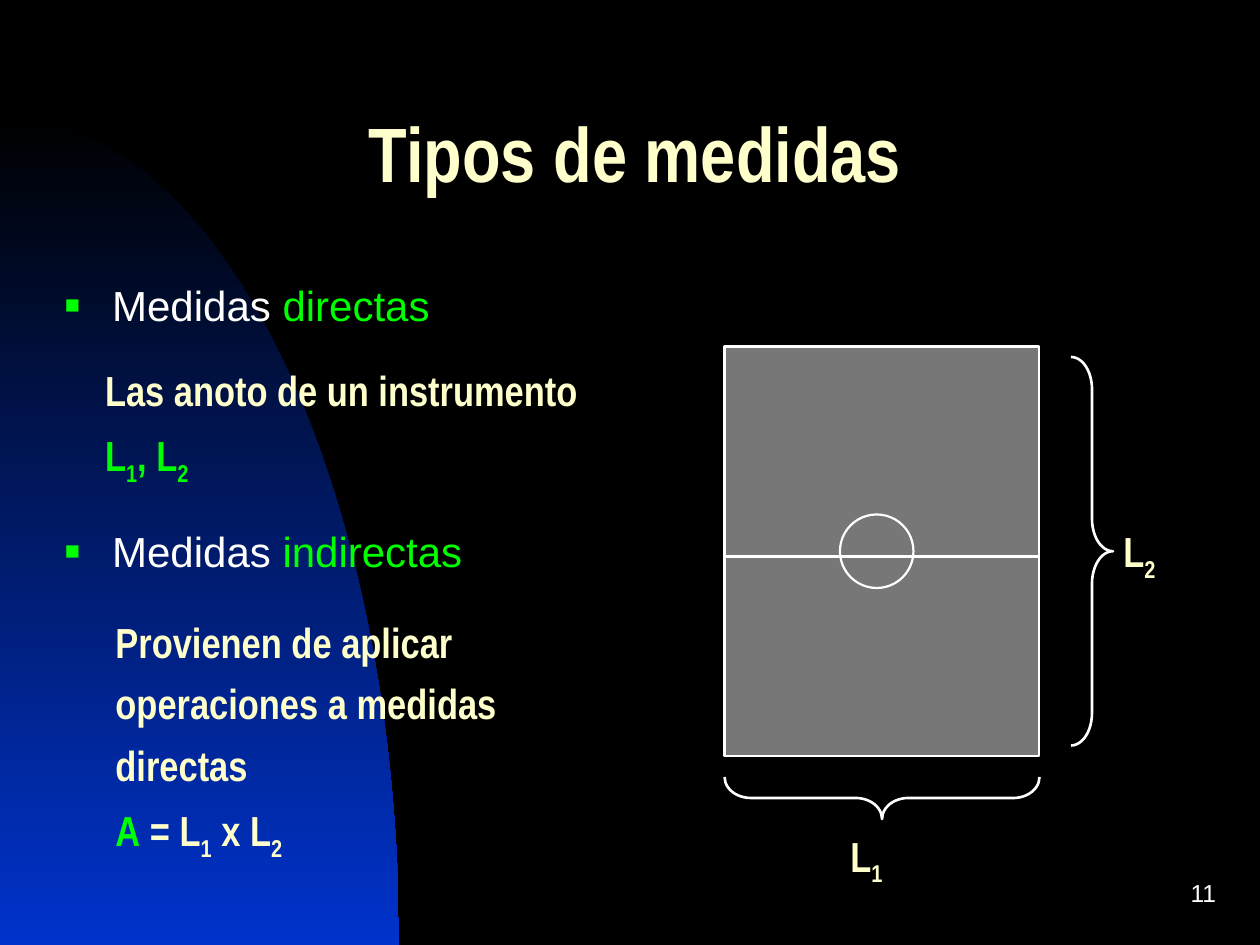
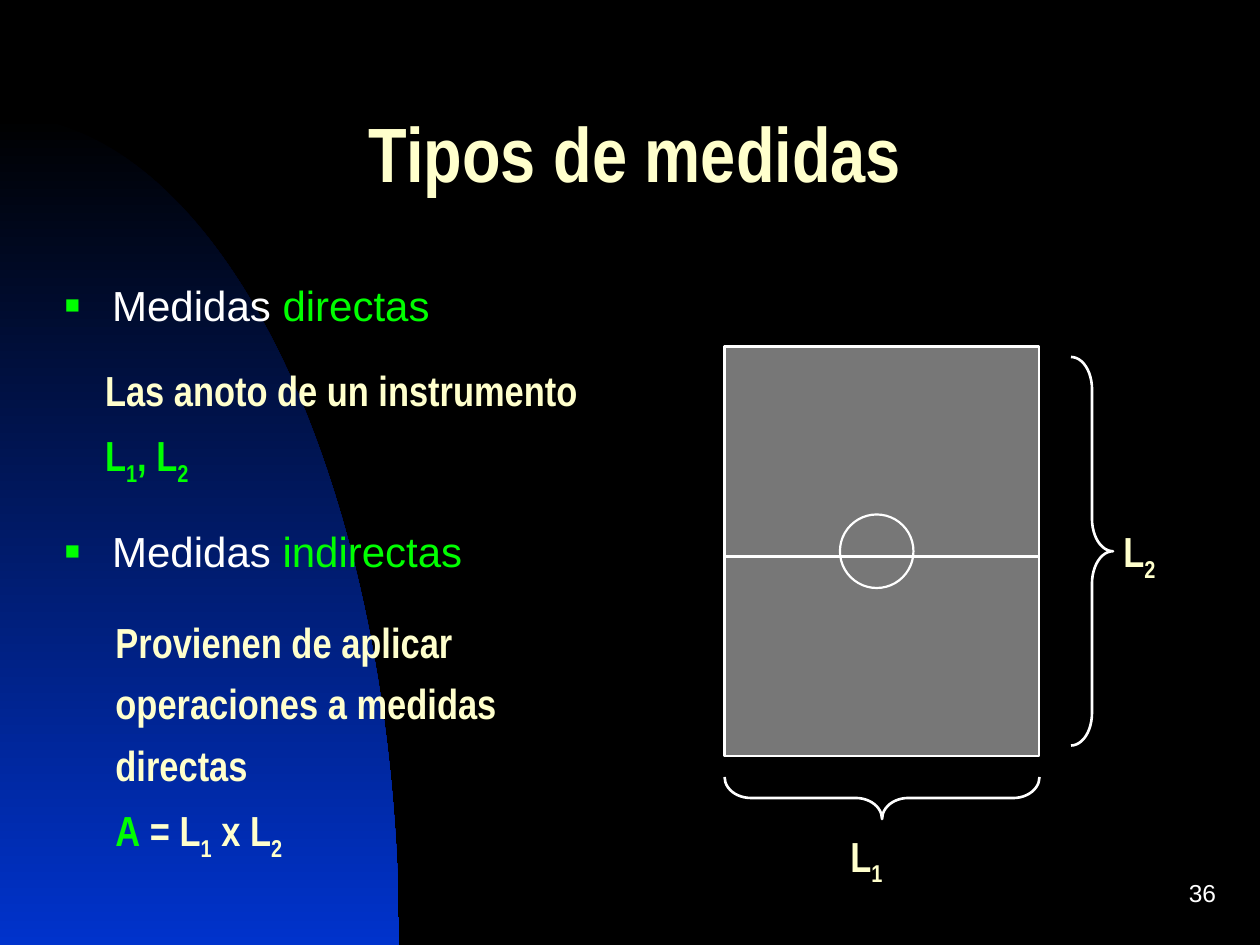
"""Builds two slides on direct and indirect measurements of a sports court."""
from math import cos, pi, sin

from lxml.etree import SubElement
from pptx import Presentation
from pptx.dml.color import RGBColor
from pptx.enum.shapes import MSO_CONNECTOR, MSO_SHAPE
from pptx.enum.text import MSO_ANCHOR, PP_ALIGN
from pptx.oxml.ns import qn
from pptx.util import Pt

PX = 7620
SLIDE_W, SLIDE_H = 1200, 900

BLACK = RGBColor(0x00, 0x00, 0x00)
BLUE = RGBColor(0x00, 0x33, 0xCC)
WHITE = RGBColor(0xFF, 0xFF, 0xFF)
CREAM = RGBColor(0xFF, 0xFF, 0xCC)
GREEN = RGBColor(0x00, 0xFF, 0x00)
GRAY = RGBColor(0x77, 0x77, 0x77)

PAGE_NUMBERS = ["11", "36"]
TITLE = [[("Tipos de medidas", CREAM)]]
KINDS = [
    [("Medidas ", WHITE), ("directas", GREEN)],
    [("Medidas ", WHITE), ("indirectas", GREEN)],
]
DIRECT = [
    [("Las anoto de un instrumento", CREAM)],
    [("L", GREEN), ("1", GREEN, "sub"), (", L", GREEN), ("2", GREEN, "sub")],
]
INDIRECT = [
    [("Provienen de aplicar", CREAM)],
    [("operaciones a medidas", CREAM)],
    [("directas", CREAM)],
    [("A", GREEN), (" = L", CREAM), ("1", CREAM, "sub"),
     (" x L", CREAM), ("2", CREAM, "sub")],
]
SIDES = [
    ("1", (810, 800, 50, 77), (820, 610, 40, 300), 90),
    ("2", (1070, 510, 50, 77), (1020, 340, 40, 370), 0),
]

COURT = (690, 330, 300, 390)
CENTRE_CIRCLE = (800, 490, 70, 70)
HALFWAY_Y = 530
SWEEP_W, SWEEP_H, SWEEP_STEPS = 380, 790, 90
PADDING = (12, 6)
BULLET_INDENT = 45

NARROW = {"font": "Arial Narrow", "bold": True, "spacing": 0.7}


def emu(box):
    return [round(length * PX) for length in box]


def add_text(slide, box, paragraphs, size=24, font="Arial", bold=False,
             spacing=None, before=15, padding=(0, 0), align=PP_ALIGN.LEFT,
             anchor=MSO_ANCHOR.TOP, bullets=False):
    frame = slide.shapes.add_textbox(*emu(box)).text_frame
    frame.word_wrap = True
    frame.vertical_anchor = anchor
    frame.margin_left = frame.margin_right = padding[0] * PX
    frame.margin_top = frame.margin_bottom = padding[1] * PX
    for index, runs in enumerate(paragraphs):
        paragraph = frame.add_paragraph() if index else frame.paragraphs[0]
        paragraph.alignment = align
        if spacing:
            paragraph.line_spacing = spacing
        if index:
            paragraph.space_before = Pt(before)
        if bullets:
            add_bullet(paragraph)
        for text, colour, *sub in runs:
            run = paragraph.add_run()
            run.text = text
            run.font.size = Pt(size)
            run.font.name = font
            run.font.bold = bold
            run.font.color.rgb = colour
            if sub:
                run.font._element.set("baseline", "-25000")


def add_bullet(paragraph):
    properties = paragraph._p.get_or_add_pPr()
    properties.set("marL", str(BULLET_INDENT * PX))
    properties.set("indent", str(-BULLET_INDENT * PX))
    colour = SubElement(properties, qn("a:buClr"))
    SubElement(colour, qn("a:srgbClr"), val=str(GREEN))
    SubElement(properties, qn("a:buSzPct"), val="60000")
    SubElement(properties, qn("a:buFont"), typeface="Arial")
    SubElement(properties, qn("a:buChar"), char="■")


def add_outline(slide, preset, box, width=1.25, fill=None):
    shape = slide.shapes.add_shape(preset, *emu(box))
    shape.shadow.inherit = False
    if fill is None:
        shape.fill.background()
    else:
        shape.fill.solid()
        shape.fill.fore_color.rgb = fill
    shape.line.color.rgb = WHITE
    shape.line.width = Pt(width)
    return shape


def add_sweep(slide):
    angles = [pi / 2 * step / SWEEP_STEPS for step in range(SWEEP_STEPS + 1)]
    arc = [(SWEEP_W * sin(a), SLIDE_H - SWEEP_H * cos(a)) for a in angles]
    builder = slide.shapes.build_freeform(*emu(arc[0]), scale=1.0)
    builder.add_line_segments([emu(point) for point in arc[1:] + [(0, SLIDE_H)]])
    sweep = builder.convert_to_shape()
    sweep.shadow.inherit = False
    sweep.line.fill.background()
    sweep.fill.gradient()
    sweep.fill.gradient_angle = 270
    for stop, colour, position in zip(sweep.fill.gradient_stops, (BLACK, BLUE), (0, 1)):
        stop.color.rgb = colour
        stop.position = position


def add_court(slide):
    left, _, width, _ = COURT
    add_outline(slide, MSO_SHAPE.RECTANGLE, COURT, fill=GRAY)
    halfway = slide.shapes.add_connector(
        MSO_CONNECTOR.STRAIGHT, *emu((left, HALFWAY_Y, left + width, HALFWAY_Y)))
    halfway.line.color.rgb = WHITE
    halfway.line.width = Pt(1.25)
    SubElement(halfway._element.spPr, qn("a:effectLst"))
    add_outline(slide, MSO_SHAPE.OVAL, CENTRE_CIRCLE)
    for digit, label_box, brace_box, rotation in SIDES:
        brace = add_outline(slide, MSO_SHAPE.RIGHT_BRACE, brace_box, width=1.5)
        brace.adjustments[0] = brace_box[3] / brace_box[2] / 12
        brace.rotation = rotation
        add_text(slide, label_box, [[("L", CREAM), (digit, CREAM, "sub")]], **NARROW)


def add_measures_slide(deck, number):
    slide = deck.slides.add_slide(deck.slide_layouts[6])
    add_sweep(slide)
    add_text(slide, (920, 820, 250, 60), [[(number, WHITE)]], size=14,
             padding=PADDING, align=PP_ALIGN.RIGHT, anchor=MSO_ANCHOR.MIDDLE)
    add_text(slide, (50, 80, 1110, 150), TITLE, size=44, padding=PADDING,
             align=PP_ALIGN.CENTER, anchor=MSO_ANCHOR.MIDDLE, **NARROW)
    add_text(slide, (50, 260, 550, 540), KINDS, before=112, padding=PADDING,
             bullets=True)
    add_text(slide, (100, 360, 460, 100), DIRECT, **NARROW)
    add_text(slide, (110, 600, 400, 210), INDIRECT, **NARROW)
    add_court(slide)


def main():
    deck = Presentation()
    deck.slide_width, deck.slide_height = emu((SLIDE_W, SLIDE_H))
    background = deck.slide_master.background.fill
    background.solid()
    background.fore_color.rgb = BLACK
    for number in PAGE_NUMBERS:
        add_measures_slide(deck, number)
    deck.save("out.pptx")


if __name__ == "__main__":
    main()
